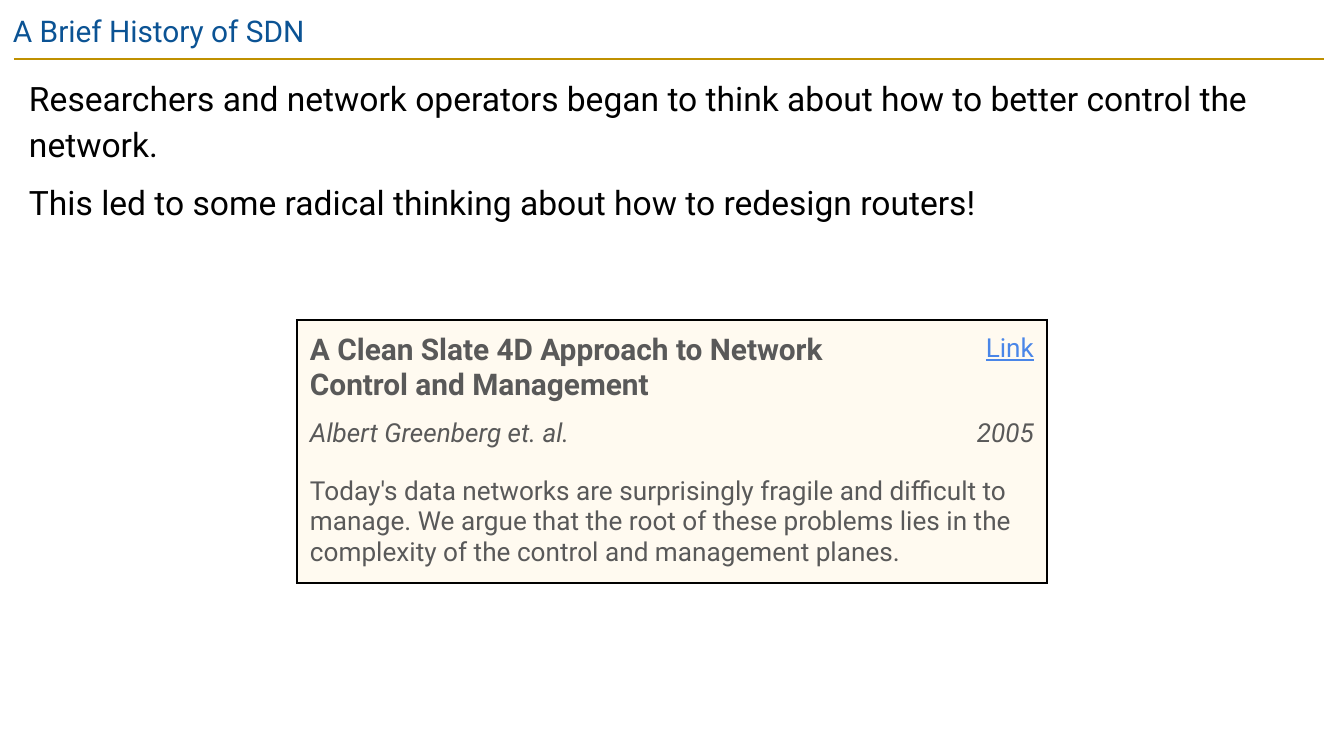
from dataclasses import dataclass

from lxml import etree
from pptx import Presentation
from pptx import util as u
from pptx.dml.color import RGBColor
from pptx.enum import shapes, text
from pptx.oxml import ns


@dataclass(frozen=True)
class Theme:
    font: str = "Roboto"
    heading: str = "0B5394"
    rule: str = "BF9000"
    ink: str = "000000"
    muted: str = "595959"
    link: str = "4A86E8"
    card: str = "FFFAF0"
    heading_size: int = 16
    body_size: int = 18
    card_size: int = 14
    line_width: float = 1.5


@dataclass(frozen=True)
class Style:
    size: int
    color: str
    bold: bool = False
    italic: bool = False
    underline: bool = False
    right: bool = False
    line_spacing: float = 1.0
    space_before: int = 0


@dataclass(frozen=True)
class Box:
    left: int
    top: int
    width: int
    height: int


@dataclass(frozen=True)
class Entry:
    row: int
    column: int
    span: int
    wording: str
    style: Style
    bottom_inset: int = 13


THEME = Theme()
PX_PER_INCH = 134.4
INSET = 13
COLUMN_WIDTHS = (457, 128, 165)
ROW_HEIGHTS = (83, 58, 118)
CARD = Box(297, 320, sum(COLUMN_WIDTHS), sum(ROW_HEIGHTS))

HEADING = Style(THEME.heading_size, THEME.heading)
BODY = Style(THEME.body_size, THEME.ink, line_spacing=1.15, space_before=6)
PAPER_TITLE = Style(THEME.heading_size, THEME.muted, bold=True)
PAPER_LINK = Style(THEME.card_size, THEME.link, underline=True, right=True)
AUTHOR = Style(THEME.card_size, THEME.muted, italic=True)
YEAR = Style(THEME.card_size, THEME.muted, italic=True, right=True)
ABSTRACT = Style(THEME.card_size, THEME.muted)

BODY_LINES = (
    "Researchers and network operators began to think about how to better control the network.",
    "This led to some radical thinking about how to redesign routers!",
)
PAPER = (
    Entry(0, 0, 2, "A Clean Slate 4D Approach to Network Control and Management", PAPER_TITLE, 0),
    Entry(0, 2, 1, "Link", PAPER_LINK, 0),
    Entry(1, 0, 1, "Albert Greenberg et. al.", AUTHOR),
    Entry(1, 1, 2, "2005", YEAR),
    Entry(2, 0, 3, "Today's data networks are surprisingly fragile and difficult to manage. "
          "We argue that the root of these problems lies in the complexity of the control "
          "and management planes.", ABSTRACT),
)


def px(length: int) -> u.Emu:
    return u.Emu(round(length * 914400 / PX_PER_INCH))


def write(paragraph, wording: str, style: Style) -> None:
    paragraph.text = wording
    paragraph.alignment = text.PP_ALIGN.RIGHT if style.right else text.PP_ALIGN.LEFT
    paragraph.line_spacing = style.line_spacing
    paragraph.space_before = u.Pt(style.space_before)
    font = paragraph.font
    font.name = THEME.font
    font.size = u.Pt(style.size)
    font.bold = style.bold
    font.italic = style.italic
    font.underline = style.underline
    font.color.rgb = RGBColor.from_string(style.color)


def set_insets(holder, bottom: int = INSET) -> None:
    holder.margin_left = holder.margin_right = holder.margin_top = px(INSET)
    holder.margin_bottom = px(bottom)


def add_text(slide, box: Box, lines: tuple[str, ...], style: Style) -> None:
    frame = slide.shapes.add_textbox(
        px(box.left), px(box.top), px(box.width), px(box.height)).text_frame
    frame.word_wrap = True
    set_insets(frame)
    for index, line in enumerate(lines):
        paragraph = frame.add_paragraph() if index else frame.paragraphs[0]
        write(paragraph, line, style)


def add_rule(slide, left: int, right: int, y: int) -> None:
    rule = slide.shapes.add_connector(
        shapes.MSO_CONNECTOR.STRAIGHT, px(left), px(y), px(right), px(y))
    rule.line.color.rgb = RGBColor.from_string(THEME.rule)
    rule.line.width = u.Pt(THEME.line_width)
    etree.SubElement(rule._element.spPr, ns.qn("a:effectLst"))


def set_borders(cell, outer_sides: dict[str, bool]) -> None:
    properties = cell._tc.get_or_add_tcPr()
    for position, (side, outer) in enumerate(outer_sides.items()):
        border = etree.Element(ns.qn(f"a:ln{side}"))
        if outer:
            border.set("w", str(u.Pt(THEME.line_width)))
            fill = etree.SubElement(border, ns.qn("a:solidFill"))
            etree.SubElement(fill, ns.qn("a:srgbClr"), val=THEME.ink)
        else:
            etree.SubElement(border, ns.qn("a:noFill"))
        properties.insert(position, border)


def add_paper(slide, box: Box, entries: tuple[Entry, ...]) -> None:
    paper = slide.shapes.add_table(
        len(ROW_HEIGHTS), len(COLUMN_WIDTHS),
        px(box.left), px(box.top), px(box.width), px(box.height)).table
    paper.first_row = paper.horz_banding = False
    for column, width in zip(paper.columns, COLUMN_WIDTHS):
        column.width = px(width)
    for row, height in zip(paper.rows, ROW_HEIGHTS):
        row.height = px(height)
    for entry in entries:
        end = entry.column + entry.span
        cell = paper.cell(entry.row, entry.column)
        if entry.span > 1:
            cell.merge(paper.cell(entry.row, end - 1))
        set_insets(cell, entry.bottom_inset)
        write(cell.text_frame.paragraphs[0], entry.wording, entry.style)
        for column in range(entry.column, end):
            part = paper.cell(entry.row, column)
            part.fill.solid()
            part.fill.fore_color.rgb = RGBColor.from_string(THEME.card)
            set_borders(part, {
                "L": column == 0,
                "R": end == len(COLUMN_WIDTHS),
                "T": entry.row == 0,
                "B": entry.row == len(ROW_HEIGHTS) - 1,
            })


def main() -> None:
    deck = Presentation()
    deck.slide_width, deck.slide_height = px(1344), px(756)
    slide = deck.slides.add_slide(deck.slide_layouts[6])
    add_rule(slide, 14, 1324, 59)
    add_text(slide, Box(0, 0, 1344, 58), ("A Brief History of SDN",), HEADING)
    add_text(slide, Box(16, 59, 1309, 360), BODY_LINES, BODY)
    add_paper(slide, CARD, PAPER)
    deck.save("out.pptx")


if __name__ == "__main__":
    main()
